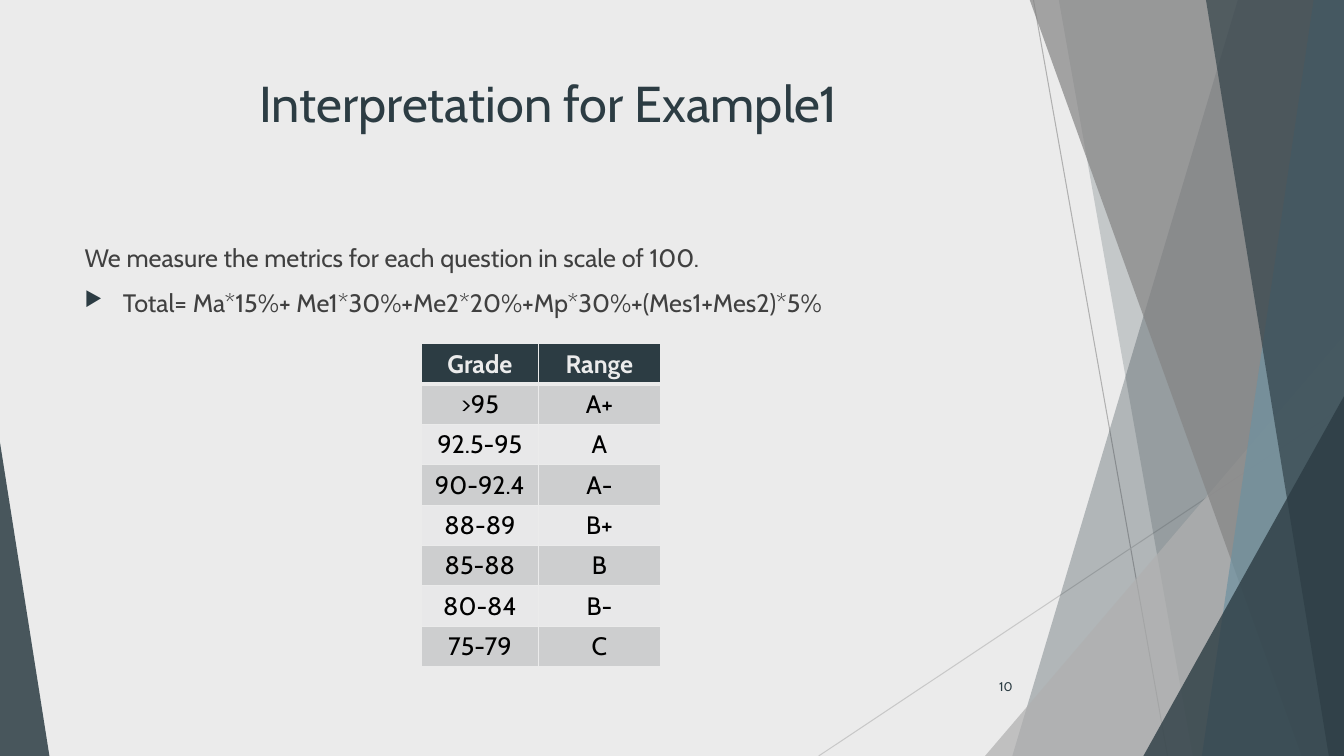
from lxml.etree import SubElement
from pptx import Presentation
from pptx.dml.color import RGBColor
from pptx.enum.shapes import MSO_CONNECTOR, MSO_SHAPE
from pptx.enum.text import MSO_ANCHOR, PP_ALIGN
from pptx.oxml import parse_xml
from pptx.oxml.ns import nsdecls, qn
from pptx.util import Inches, Pt

DARK = RGBColor(0x2C, 0x3C, 0x43)
PAPER = RGBColor(0xEB, 0xEB, 0xEB)
SILVER = RGBColor(0xB0, 0xB0, 0xB0)
PALE = RGBColor(0xC8, 0xC8, 0xC8)
GREY = RGBColor(0x84, 0x84, 0x84)
TEAL = RGBColor(0x6E, 0x91, 0xA0)
BODY = RGBColor(0x40, 0x40, 0x40)
BLACK = RGBColor(0, 0, 0)
BAND_DARK = RGBColor(0xCD, 0xCE, 0xCF)
BAND_LIGHT = RGBColor(0xE8, 0xE8, 0xE9)

WIDTH, HEIGHT, TOP = 13.33, 7.5, -0.01

GRADES = [
    ("Grade", "Range"),
    (">95", "A+"),
    ("92.5-95", "A"),
    ("90-92.4", "A-"),
    ("88-89", "B+"),
    ("85-88", "B"),
    ("80-84", "B-"),
    ("75-79", "C"),
]


class Deck:
    font = "Cabin"

    def __init__(self):
        self.prs = Presentation()
        self.prs.slide_width = Inches(WIDTH)
        self.prs.slide_height = Inches(HEIGHT)
        self.s = self.prs.slides.add_slide(self.prs.slide_layouts[6])
        fill = self.s.background.fill
        fill.solid()
        fill.fore_color.rgb = PAPER

    def apply(self, obj, fmt):
        for name, value in fmt.items():
            setattr(obj, name, value)

    def line(self, x1, y1, x2, y2, color):
        ln = self.s.shapes.add_connector(
            MSO_CONNECTOR.STRAIGHT, *map(Inches, (x1, y1, x2, y2)))
        ln.line.color.rgb = color
        ln.line.width = Pt(0.75)
        SubElement(ln._element.spPr, qn("a:effectLst"))

    def paint(self, sp, color, opacity):
        sp.shadow.inherit = False
        sp.line.fill.background()
        sp.fill.solid()
        sp.fill.fore_color.rgb = color
        clr = sp._element.spPr.find(qn("a:solidFill"))[0]
        SubElement(clr, qn("a:alpha"), val=str(opacity * 1000))

    def panel(self, top_x, bottom_x, color, opacity):
        points = [(WIDTH, TOP), (WIDTH, HEIGHT), (bottom_x, HEIGHT)]
        fb = self.s.shapes.build_freeform(Inches(top_x), Inches(TOP))
        fb.add_line_segments([(Inches(x), Inches(y)) for x, y in points])
        self.paint(fb.convert_to_shape(), color, opacity)

    def triangle(self, x, y, w, peak, color, opacity):
        sp = self.s.shapes.add_shape(
            MSO_SHAPE.ISOSCELES_TRIANGLE, *map(Inches, (x, y, w, HEIGHT - y)))
        sp.adjustments[0] = peak
        self.paint(sp, color, opacity)

    def run(self, p, text, size, color, bold=False, **fmt):
        self.apply(p, fmt)
        r = p.add_run()
        r.text = text
        self.apply(r.font, {"name": self.font, "size": Pt(size), "bold": bold})
        r.font.color.rgb = color

    def text(self, box, lines, size, color, anchor=MSO_ANCHOR.TOP, **fmt):
        tf = self.s.shapes.add_textbox(*map(Inches, box)).text_frame
        self.apply(tf, {"word_wrap": True, "vertical_anchor": anchor})
        for i, line in enumerate(lines):
            p = tf.add_paragraph() if i else tf.paragraphs[0]
            self.run(p, line, size, color, **fmt)
        return tf

    def bullet(self, p, char, color, indent):
        pPr = p._p.get_or_add_pPr()
        pPr.set("marL", str(Inches(indent)))
        pPr.set("indent", str(-Inches(indent)))
        clr = SubElement(pPr, qn("a:buClr"))
        SubElement(clr, qn("a:srgbClr"), val=str(color))
        SubElement(pPr, qn("a:buSzPct"), val="80000")
        SubElement(pPr, qn("a:buChar"), char=char)

    def border(self, side, width):
        return parse_xml(
            f'<a:{side} {nsdecls("a")} w="{Pt(width)}"><a:solidFill>'
            f'<a:srgbClr val="{PAPER}"/></a:solidFill></a:{side}>')

    def cell(self, cell, text, fill, color, bold, widths):
        cell.fill.solid()
        cell.fill.fore_color.rgb = fill
        tcPr = cell._tc.get_or_add_tcPr()
        for i, (side, width) in enumerate(widths.items()):
            tcPr.insert(i, self.border(side, width))
        self.run(cell.text_frame.paragraphs[0], text, 18, color, bold,
                 alignment=PP_ALIGN.CENTER)

    def table(self, x, y, col_widths, row_height, rows):
        table = self.s.shapes.add_table(
            len(rows), len(col_widths), Inches(x), Inches(y),
            Inches(sum(col_widths)), Inches(row_height * len(rows))).table
        for col, width in zip(table.columns, col_widths):
            col.width = Inches(width)
        for i, row in enumerate(rows):
            head = i == 0
            fill = DARK if head else BAND_DARK if i % 2 else BAND_LIGHT
            widths = {"lnL": 1, "lnR": 1, "lnT": 3 if i == 1 else 1,
                      "lnB": 3 if head else 1}
            for j, value in enumerate(row):
                self.cell(table.cell(i, j), value, fill,
                          PAPER if head else BLACK, head, widths)


def main():
    deck = Deck()
    deck.line(10.25, 0, 11.58, HEIGHT, SILVER)
    deck.line(WIDTH, 4.03, 8.12, HEIGHT, PALE)
    deck.panel(12.28, 10.04, DARK, 30)
    deck.panel(10.5, 11.83, DARK, 20)
    deck.triangle(9.77, 3.33, 3.56, 1, SILVER, 72)
    deck.panel(10.21, 12.91, GREY, 70)
    deck.panel(13.03, 11.92, TEAL, 70)
    deck.panel(11.96, 13.18, DARK, 65)
    deck.triangle(11.34, 3.93, 1.99, 1, DARK, 80)
    deck.triangle(0, 4.39, 0.49, 0, DARK, 85)

    deck.text((0.74, 0.67, 9.4, 1.44), ["Interpretation for Example1"],
              36, DARK, alignment=PP_ALIGN.CENTER)
    tf = deck.text((0.74, 2.36, 9.4, 4.24), [
        "We measure the metrics for each question in scale of 100.",
        "Total= Ma*15%+ Me1*30%+Me2*20%+Mp*30%+(Mes1+Mes2)*5%",
    ], 18, BODY, space_before=Pt(10))
    deck.bullet(tf.paragraphs[1], "▶", DARK, 0.38)
    deck.text((9.39, 6.61, 0.75, 0.4), ["10"], 9, DARK,
              MSO_ANCHOR.MIDDLE, alignment=PP_ALIGN.RIGHT)
    deck.table(4.18, 3.41, [1.16, 1.21], 0.4, GRADES)
    deck.prs.save("out.pptx")


if __name__ == "__main__":
    main()
